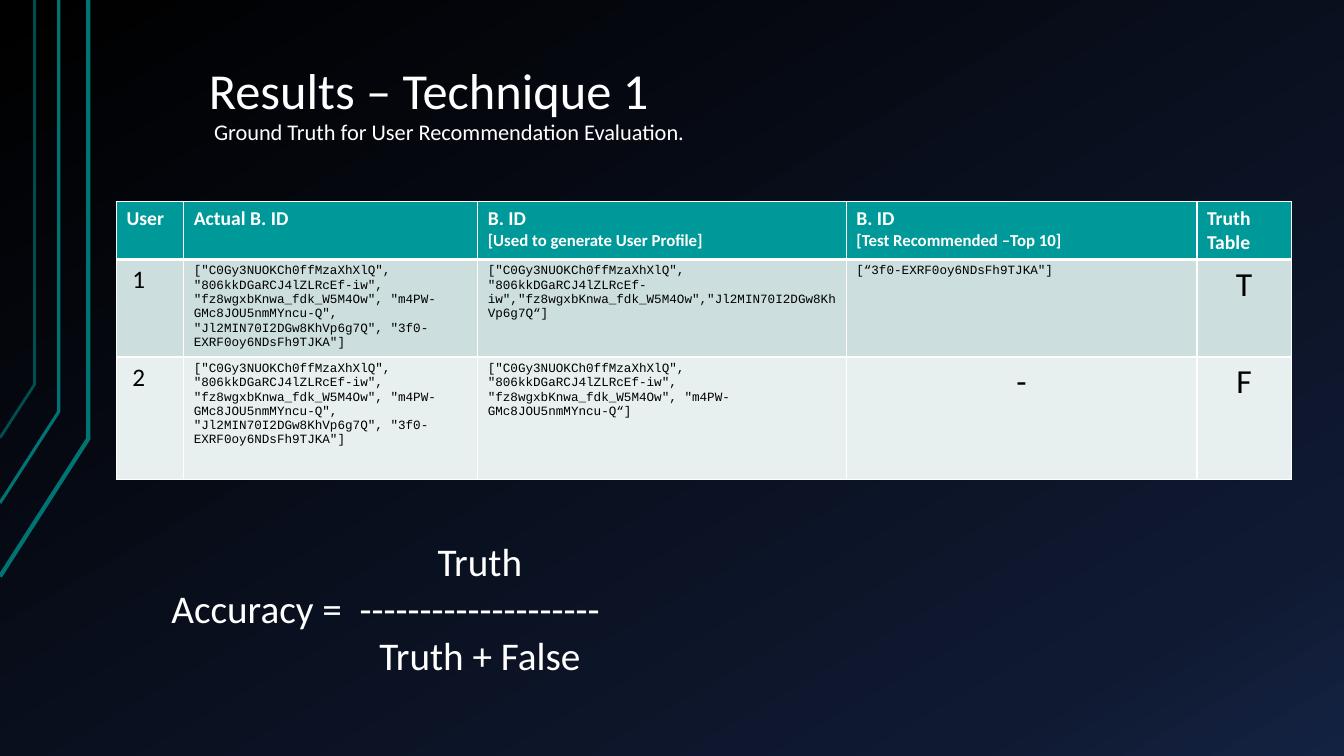
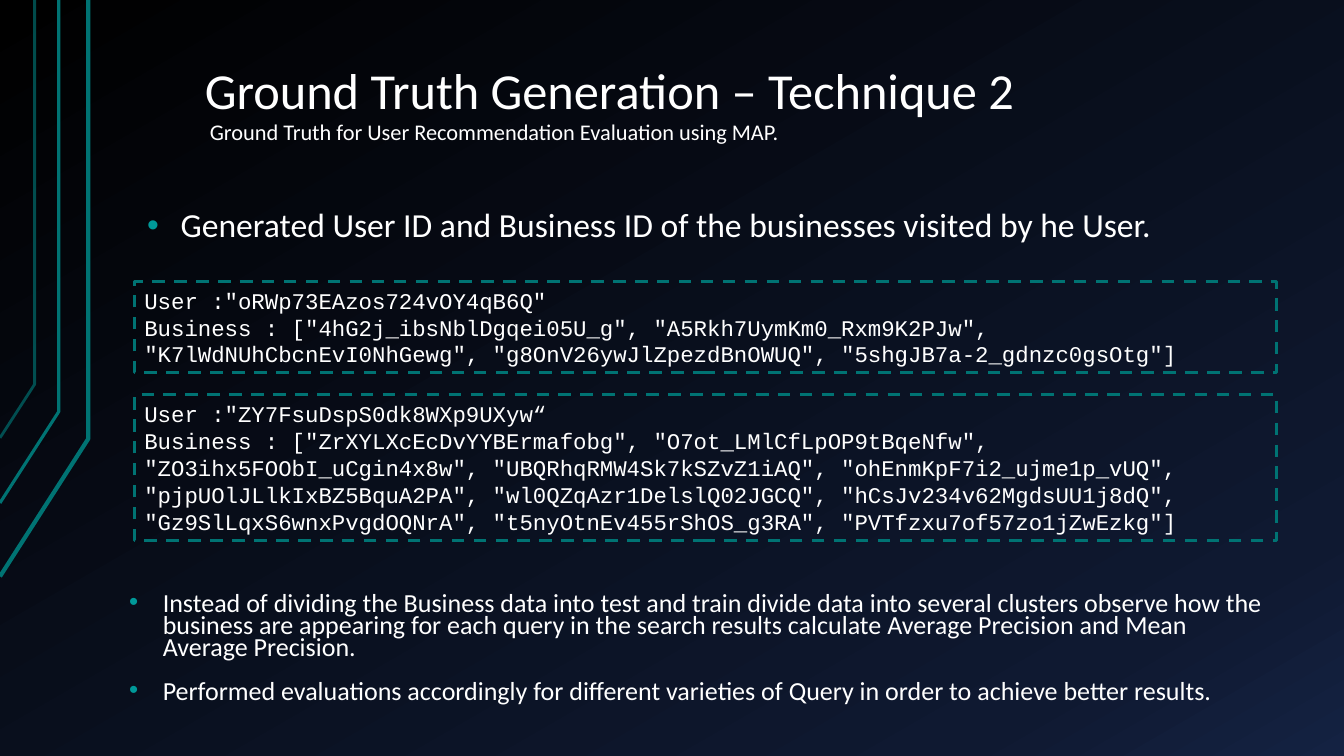
from copy import deepcopy
from dataclasses import dataclass

from lxml import etree
from pptx import Presentation
from pptx import util as u
from pptx.dml.color import RGBColor
from pptx.enum import dml, shapes, text
from pptx.oxml.ns import qn

PX = 9525
HUES = {"white": "FFFFFF", "black": "000000", "navy": "0F1931", "blue": "142242",
        "teal": "009999", "deep": "007373", "odd": "CCDEDE", "even": "E7EFEF"}
SANS, MONO = "Calibri", "Courier New"
LEFT, MID = text.PP_ALIGN.LEFT, text.PP_ALIGN.CENTER


@dataclass(frozen=True)
class Box:
    left: int
    top: int
    width: int
    height: int

    def emu(self) -> tuple[int, ...]:
        return tuple(n * PX for n in (self.left, self.top, self.width, self.height))


@dataclass(frozen=True)
class Rail:
    foot: int
    bend: int
    left: int
    width: float
    alpha: int = 100


@dataclass(frozen=True)
class Cell:
    words: str
    size: int = 9
    font: str = MONO
    align: int = LEFT


@dataclass(frozen=True)
class Panel:
    box: Box
    lines: tuple[str, ...]


RAILS = (Rail(549, 418, 84, 3), Rail(479, 392, 56, 2.25), Rail(417, 366, 33, 2, 65))
COLS, ROWS = (64, 280, 351, 334, 90), (53, 93, 117)
HEADS = ("User", "Actual B. ID", "B. ID\n[Used to generate User Profile]",
         "B. ID\n[Test Recommended –Top 10]", "Truth Table")
PAIR = '["C0Gy3NUOKCh0ffMzaXhXlQ", "806kkDGaRCJ4lZLRcEf-iw",'
FOUR = PAIR + ' "fz8wgxbKnwa_fdk_W5M4Ow", "m4PW-GMc8JOU5nmMYncu-Q'
FULL = FOUR + '", "Jl2MIN70I2DGw8KhVp6g7Q", "3f0-EXRF0oy6NDsFh9TJKA"]'
DATA = (
    (Cell(" 1", 18, SANS), Cell(FULL),
     Cell(PAIR + '"fz8wgxbKnwa_fdk_W5M4Ow","Jl2MIN70I2DGw8KhVp6g7Q“]'),
     Cell('[“3f0-EXRF0oy6NDsFh9TJKA"]'), Cell("T", 24, SANS, MID)),
    (Cell(" 2", 18, SANS), Cell(FULL), Cell(FOUR + "“]"),
     Cell("-", 24, SANS, MID), Cell("F", 24, SANS, MID)),
)
PANELS = (
    Panel(Box(128, 268, 1088, 87), (
        'User :"oRWp73EAzos724vOY4qB6Q"',
        'Business : ["4hG2j_ibsNblDgqei05U_g", "A5Rkh7UymKm0_Rxm9K2PJw", '
        '"K7lWdNUhCbcnEvI0NhGewg", "g8OnV26ywJlZpezdBnOWUQ", "5shgJB7a-2_gdnzc0gsOtg"]')),
    Panel(Box(128, 376, 1088, 139), (
        'User :"ZY7FsuDspS0dk8WXp9UXyw“',
        'Business : ["ZrXYLXcEcDvYYBErmafobg", "O7ot_LMlCfLpOP9tBqeNfw", '
        '"ZO3ihx5FOObI_uCgin4x8w", "UBQRhqRMW4Sk7kSZvZ1iAQ", "ohEnmKpF7i2_ujme1p_vUQ", '
        '"pjpUOlJLlkIxBZ5BquA2PA", "wl0QZqAzr1DelslQ02JGCQ", "hCsJv234v62MgdsUU1j8dQ", '
        '"Gz9SlLqxS6wnxPvgdOQNrA", "t5nyOtnEv455rShOS_g3RA", "PVTfzxu7of57zo1jZwEzkg"]')),
)


def tint(name: str) -> RGBColor:
    return RGBColor.from_string(HUES[name])


def node(root, tag: str, **attrs):
    return etree.SubElement(root, qn(tag), {k: str(v) for k, v in attrs.items()})


def write(para, words: str, *, size: float, font: str = SANS, hue: str = "white",
          bold: bool = False, align: int = LEFT, lead: float = 1.0, gap: int = 0) -> None:
    run = para.add_run()
    run.text = words
    run.font.size, run.font.name, run.font.bold = u.Pt(size), font, bold
    run.font.color.rgb = tint(hue)
    para.alignment, para.line_spacing, para.space_before = align, lead, u.Pt(gap)


def paras(frame, count: int) -> list:
    return [frame.paragraphs[0]] + [frame.add_paragraph() for _ in range(count - 1)]


def inset(shape, box: Box, anchor: int):
    shape.left, shape.top, shape.width, shape.height = box.emu()
    frame = shape.text_frame
    frame.word_wrap, frame.auto_size = True, text.MSO_AUTO_SIZE.NONE
    frame.vertical_anchor = anchor
    frame.margin_left = frame.margin_right = 12 * PX
    frame.margin_top = frame.margin_bottom = 7 * PX
    return frame


def title(slide, left: int, head: str, sub: str) -> None:
    frame = inset(slide.shapes.title, Box(left, 16, 1088, 129), text.MSO_ANCHOR.BOTTOM)
    para = frame.paragraphs[0]
    write(para, head, size=36, lead=0.9)
    para.add_line_break()
    write(para, sub, size=16, lead=0.9)


def bullets(shape, box: Box, lines: tuple[str, ...], size: float, lead: float) -> None:
    frame = inset(shape, box, text.MSO_ANCHOR.TOP)
    for para, line in zip(paras(frame, len(lines)), lines):
        write(para, line, size=size, lead=lead, gap=16)
        props = para._p.get_or_add_pPr()
        props.set("marL", str(32 * PX))
        props.set("indent", str(-32 * PX))
        node(node(props, "a:buClr"), "a:srgbClr", val=HUES["teal"])
        node(props, "a:buChar", char="•")


def rail(slide, master, item: Rail) -> None:
    path = slide.shapes.build_freeform(0, item.foot, scale=PX)
    path.add_line_segments([(item.left, item.bend), (item.left, 0)], close=False)
    shape = path.convert_to_shape()
    shape.shadow.inherit = False
    shape.fill.background()
    shape.line.color.rgb, shape.line.width = tint("deep"), u.Pt(item.width)
    if item.alpha < 100:
        hue = next(shape.line._ln.iter(qn("a:srgbClr")))
        node(hue, "a:alpha", val=item.alpha * 1000)
    master.shapes.element.append(shape.element)


def theme(master, slide) -> None:
    fill = master.background.fill
    fill.gradient()
    stops = next(master.element.iter(qn("a:gsLst")))
    stops.append(deepcopy(stops[0]))
    for stop, (spot, hue) in zip(fill.gradient_stops, ((0, "black"), (0.85, "navy"), (1, "blue"))):
        stop.position, stop.color.rgb = spot, tint(hue)
    fill.gradient_angle = 300
    for item in RAILS:
        rail(slide, master, item)


def frame_cell(cell, hue: str, base: int) -> None:
    props = cell._tc.get_or_add_tcPr()
    for side, width in (("L", 1), ("R", 1), ("T", 1), ("B", base)):
        line = node(props, f"a:ln{side}", w=u.Pt(width))
        node(node(line, "a:solidFill"), "a:srgbClr", val=HUES["white"])
    cell.fill.solid()
    cell.fill.fore_color.rgb = tint(hue)


def grid(slide) -> None:
    box = Box(111, 192, sum(COLS), sum(ROWS))
    table = slide.shapes.add_table(len(ROWS), len(COLS), *box.emu()).table
    for col, width in zip(table.columns, COLS):
        col.width = width * PX
    for row, height in zip(table.rows, ROWS):
        row.height = height * PX
    for x, head in enumerate(HEADS):
        cell, lines = table.cell(0, x), head.split("\n")
        frame_cell(cell, "teal", 3)
        for para, line, size in zip(paras(cell.text_frame, len(lines)), lines, (14, 12)):
            write(para, line, size=size, bold=True)
    for y, row in enumerate(DATA, 1):
        for x, item in enumerate(row):
            cell = table.cell(y, x)
            frame_cell(cell, "odd" if y % 2 else "even", 1)
            write(cell.text_frame.paragraphs[0], item.words, size=item.size,
                  font=item.font, hue="black", align=item.align)


def ratio(slide) -> None:
    frame = slide.shapes.add_textbox(*Box(87, 507, 560, 191).emu()).text_frame
    frame.word_wrap = True
    lines = (("Truth", 180), ("Accuracy =  --------------------", 0), ("Truth + False", 180))
    for para, (line, shift) in zip(paras(frame, len(lines)), lines):
        write(para, line, size=28, align=MID)
        para._p.get_or_add_pPr().set("marL", str(shift * PX))


def panel(slide, item: Panel) -> None:
    shape = slide.shapes.add_shape(shapes.MSO_SHAPE.RECTANGLE, *item.box.emu())
    shape.shadow.inherit = False
    shape.fill.background()
    shape.line.color.rgb, shape.line.width = tint("deep"), u.Pt(2.25)
    shape.line.dash_style = dml.MSO_LINE.DASH
    frame = shape.text_frame
    frame.word_wrap, frame.vertical_anchor = True, text.MSO_ANCHOR.MIDDLE
    for para, line in zip(paras(frame, len(item.lines)), item.lines):
        write(para, line, size=16, font=MONO)


def main() -> None:
    deck = Presentation()
    deck.slide_width, deck.slide_height = 1280 * PX, 720 * PX
    first = deck.slides.add_slide(deck.slide_layouts.get_by_name("Title Only"))
    theme(deck.slide_master, first)
    title(first, 187, "Results – Technique 1",
          " Ground Truth for User Recommendation Evaluation.")
    grid(first)
    ratio(first)

    second = deck.slides.add_slide(deck.slide_layouts.get_by_name("Two Content"))
    title(second, 183, "Ground Truth Generation – Technique 2",
          " Ground Truth for User Recommendation Evaluation using MAP.")
    bullets(second.placeholders[1], Box(128, 192, 1088, 117), (
        "Generated User ID and Business ID of the businesses visited by he User.",), 24, 0.9)
    for item in PANELS:
        panel(second, item)
    bullets(second.placeholders[2], Box(111, 560, 1104, 139), (
        "Instead of dividing the Business data into test and train divide data into several "
        "clusters observe how the business are appearing for each query in the search results "
        "calculate Average Precision and Mean Average Precision.",
        "Performed evaluations accordingly for different varieties of Query in order to "
        "achieve better results."), 18.6, 0.7)
    deck.save("out.pptx")


if __name__ == "__main__":
    main()
